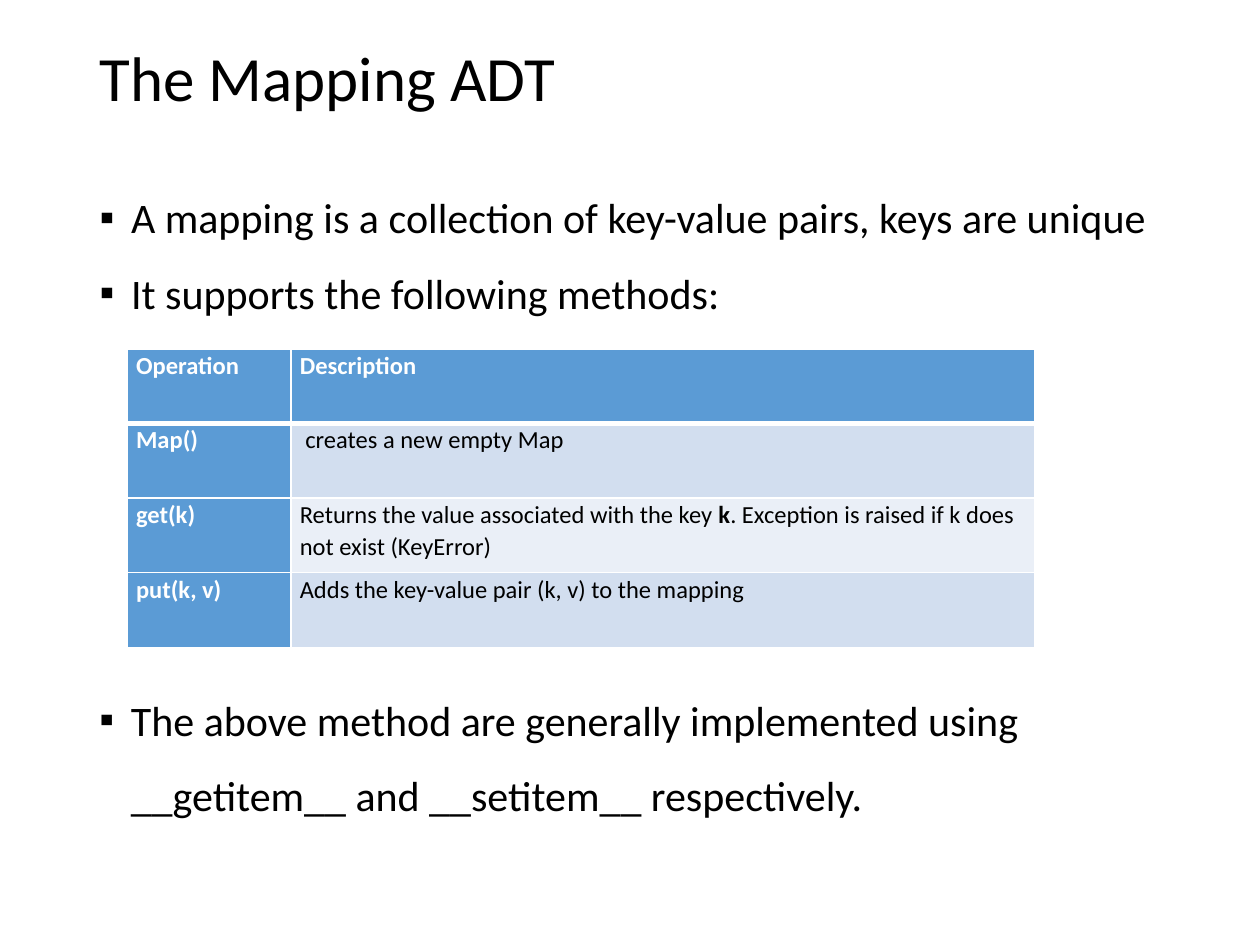
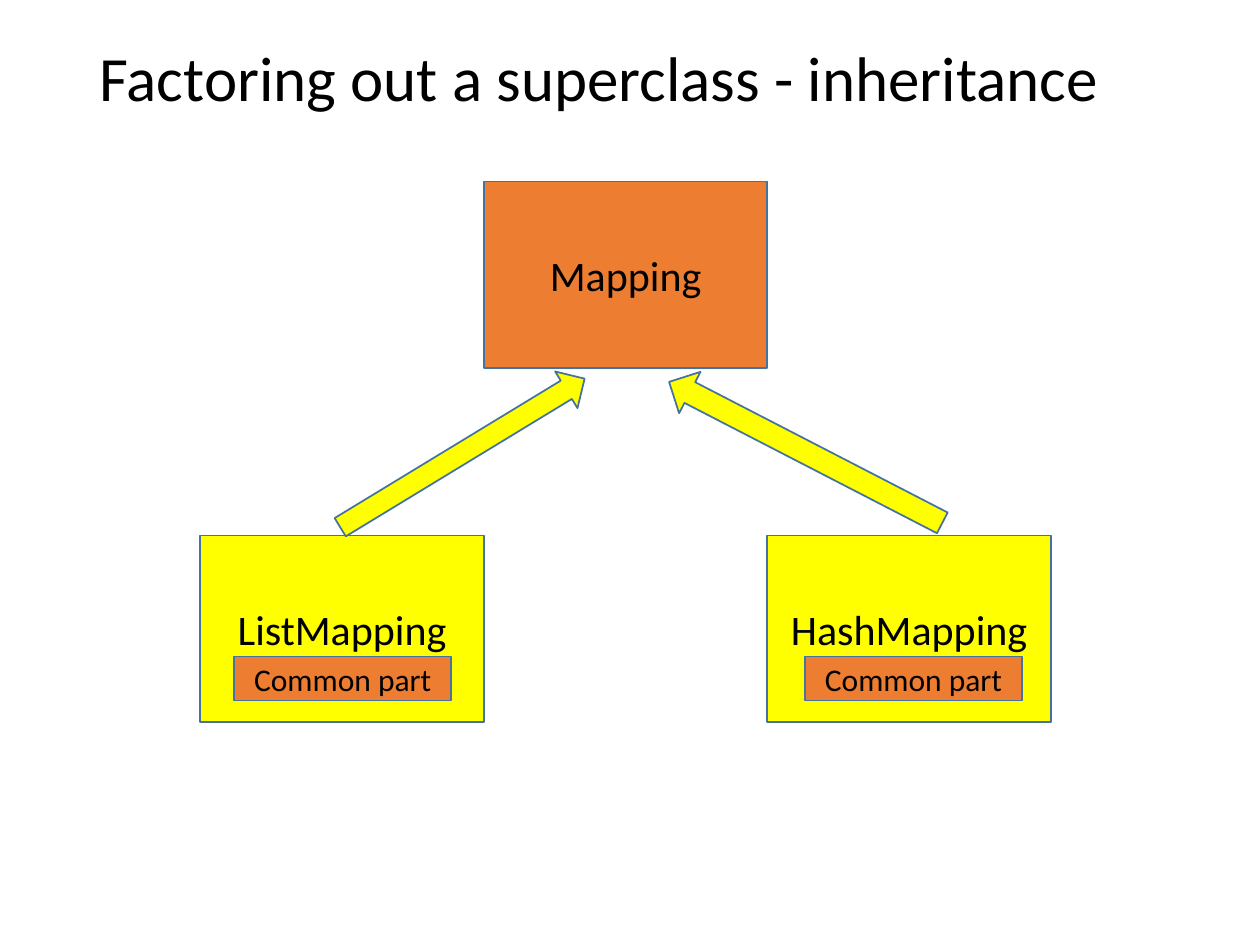
"""Build two slides on the mapping data type and its class hierarchy."""
from lxml import etree
from pptx import Presentation
from pptx import util as u
from pptx.dml import color
from pptx.enum import shapes, text
from pptx.oxml import ns

FONT = "Calibri"
BLACK, WHITE = "000000", "FFFFFF"
BLUE, BAND_DARK, BAND_LIGHT = "5B9BD5", "D2DEEF", "EAEFF7"
YELLOW, ORANGE, OUTLINE = "FFFF00", "ED7D31", "43739E"
CLASS_SIZE = (2.25, 1.48)
COMMON_SIZE = (1.72, 0.35)
LEFT, WIDTH = 0.69, 8.62


def rgb(value):
    """Turn a hex string into a colour."""
    return color.RGBColor.from_string(value)


def write(para, content, size, fill=BLACK, bold=False, spacing=1.0,
          align=text.PP_ALIGN.LEFT):
    """Add one formatted span to a paragraph."""
    para.alignment = align
    para.line_spacing = spacing
    para.space_before = u.Pt(0)
    span = para.add_run()
    span.text = content
    span.font.name = FONT
    span.font.size = u.Pt(size)
    span.font.bold = bold
    span.font.color.rgb = rgb(fill)


def place(item, left, top, width, height):
    """Move and size an element in inches."""
    item.left, item.top = u.Inches(left), u.Inches(top)
    item.width, item.height = u.Inches(width), u.Inches(height)


def add_page(deck, layout, title):
    """Add a slide with the shared title style."""
    page = deck.slides.add_slide(deck.slide_layouts[layout])
    place(page.shapes.title, LEFT, 0.03, WIDTH, 1.23)
    frame = page.shapes.title.text_frame
    frame.auto_size = text.MSO_AUTO_SIZE.NONE
    frame.vertical_anchor = text.MSO_ANCHOR.MIDDLE
    write(frame.paragraphs[0], title, 36, spacing=0.9)
    return page


def fill_list(box, items):
    """Write square-bulleted lines into a text frame."""
    frame = box.text_frame
    frame.word_wrap = True
    frame.auto_size = text.MSO_AUTO_SIZE.NONE
    for index, item in enumerate(items):
        para = frame.add_paragraph() if index else frame.paragraphs[0]
        write(para, item, 24, spacing=1.5)
        props = para._p.get_or_add_pPr()
        props.set("marL", str(u.Inches(0.25)))
        props.set("indent", str(u.Inches(-0.25)))
        etree.SubElement(props, ns.qn("a:buFont"), typeface="Arial")
        etree.SubElement(props, ns.qn("a:buChar"), char="▪")


def style_cell(cell, fill, header):
    """Set the margins, white borders and fill of a table cell."""
    cell.margin_left = cell.margin_right = u.Inches(0.07)
    cell.margin_top = cell.margin_bottom = 0
    props = cell._tc.get_or_add_tcPr()
    for side in ("lnL", "lnR", "lnT", "lnB"):
        points = 3 if header and side == "lnB" else 1
        line = etree.SubElement(props, ns.qn(f"a:{side}"), w=str(u.Pt(points)))
        solid = etree.SubElement(line, ns.qn("a:solidFill"))
        etree.SubElement(solid, ns.qn("a:srgbClr"), val=WHITE)
    cell.fill.solid()
    cell.fill.fore_color.rgb = rgb(fill)


def add_methods_table(page, rows):
    """Add the table of operations; odd spans of a description are bold."""
    height = 0.592
    table = page.shapes.add_table(
        len(rows), 2, u.Inches(1.01), u.Inches(2.77),
        u.Inches(7.2), u.Inches(height * len(rows))).table
    for column, width in zip(table.columns, (1.3, 5.9)):
        column.width = u.Inches(width)
    for r, row in enumerate(rows):
        table.rows[r].height = u.Inches(height)
        for c, spans in enumerate(row):
            strong = r == 0 or c == 0
            band = BAND_DARK if r % 2 else BAND_LIGHT
            cell = table.cell(r, c)
            style_cell(cell, BLUE if strong else band, header=r == 0)
            for index, content in enumerate(spans):
                write(cell.text_frame.paragraphs[0], content, 14,
                      fill=WHITE if strong else BLACK,
                      bold=strong or index % 2 == 1, spacing=1.07)


def add_block(page, left, top, size, fill, label="", font_size=24,
              kind=shapes.MSO_SHAPE.RECTANGLE, rotation=0):
    """Add an outlined shape with an optional centred label."""
    block = page.shapes.add_shape(
        kind, *(u.Inches(v) for v in (left, top, *size)))
    block.shadow.inherit = False
    block.rotation = rotation
    block.fill.solid()
    block.fill.fore_color.rgb = rgb(fill)
    block.line.color.rgb = rgb(OUTLINE)
    block.line.width = u.Pt(1)
    if label:
        block.text_frame.vertical_anchor = text.MSO_ANCHOR.MIDDLE
        write(block.text_frame.paragraphs[0], label, font_size,
              align=text.PP_ALIGN.CENTER)


def build_mapping(deck):
    """Describe the mapping type and its methods."""
    page = add_page(deck, 1, "The Mapping ADT")
    body = page.placeholders[1]
    place(body, LEFT, 1.27, WIDTH, 0.63)
    fill_list(body, [
        "A mapping is a collection of key-value pairs, keys are unique",
        "It supports the following methods:",
    ])
    add_methods_table(page, [
        (["Operation"], ["Description"]),
        (["Map()"], ["\u00a0creates a new empty Map"]),
        (["get(k)"], ["Returns the value associated with the key ", "k",
                      ". Exception is raised if k does not exist (KeyError)"]),
        (["put(k, v)"], ["Adds the key-value pair (k, v) to the mapping"]),
    ])
    note = page.shapes.add_textbox(
        *(u.Inches(v) for v in (LEFT, 5.26, WIDTH, 0.63)))
    fill_list(note, ["The above method are generally implemented using "
                     "__getitem__ and __setitem__ respectively."])


def build_inheritance(deck):
    """Draw the superclass above its two subclasses."""
    page = add_page(deck, 5, "Factoring out a superclass - inheritance")
    for left, top, fill, label in (
            (6.09, 4.25, YELLOW, "HashMapping"),
            (1.59, 4.25, YELLOW, "ListMapping"),
            (3.84, 1.44, ORANGE, "Mapping")):
        add_block(page, left, top, CLASS_SIZE, fill, label)
    for left, top, size, rotation in (
            (3.5, 2.46, (0.34, 2.27), 58.7),
            (6.21, 2.37, (0.37, 2.44), 297.3)):
        add_block(page, left, top, size, YELLOW,
                  kind=shapes.MSO_SHAPE.UP_ARROW, rotation=rotation)
    for left in (1.86, 6.39):
        add_block(page, left, 5.21, COMMON_SIZE, ORANGE, "Common part", 18)


def main():
    """Build and save the deck."""
    deck = Presentation()
    deck.slide_width, deck.slide_height = u.Inches(10), u.Inches(7.5)
    build_mapping(deck)
    build_inheritance(deck)
    deck.save("out.pptx")


main()
